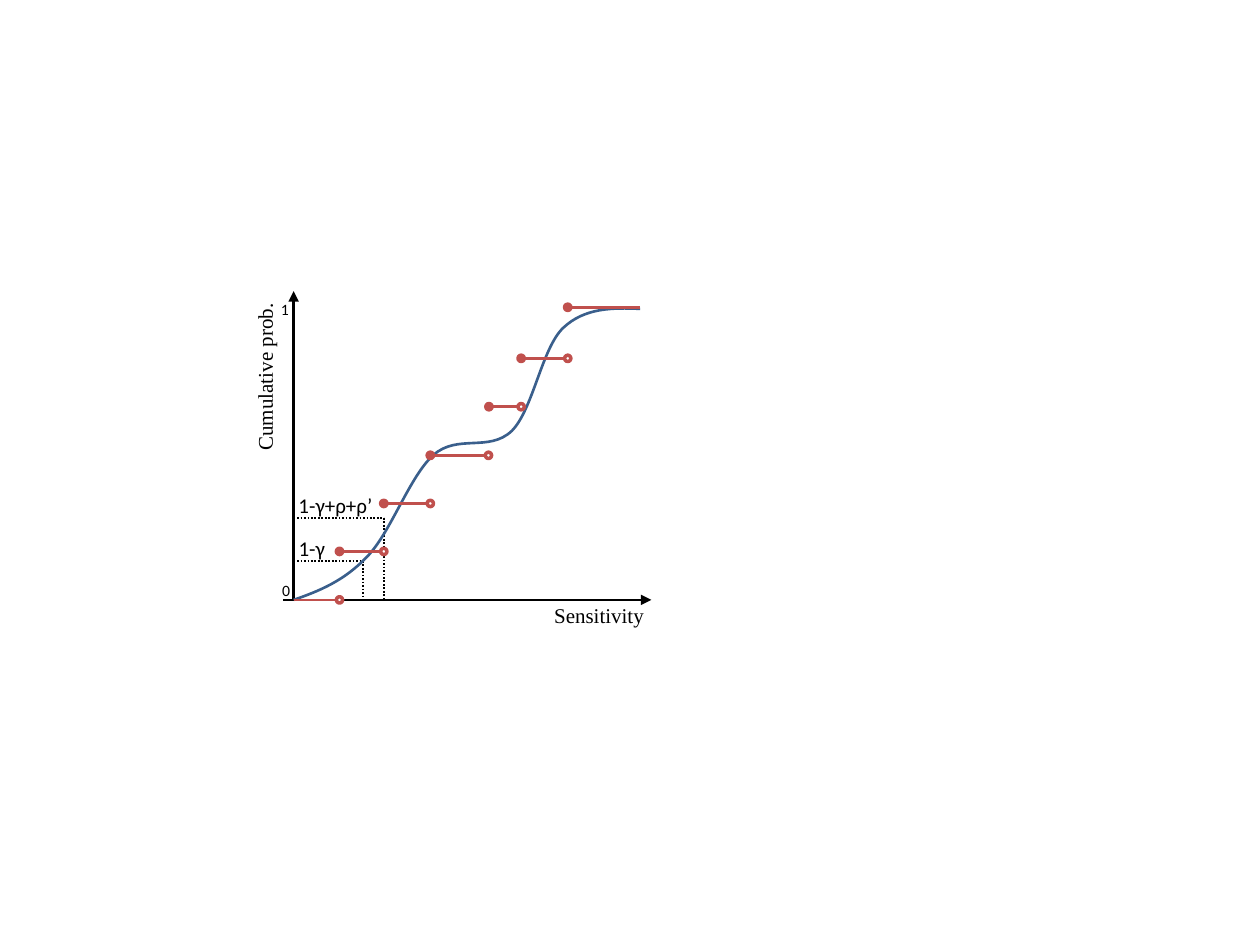
import pptx
import pptx.dml.color
import pptx.enum.dml
import pptx.enum.shapes
import pptx.enum.text
import pptx.oxml
import pptx.oxml.ns
import pptx.util

Pt = pptx.util.Pt
qn = pptx.oxml.ns.qn
ALIGN = pptx.enum.text.PP_ALIGN
COLORS = {"ink": "000000", "curve": "3A5F8C", "step": "C0504D", "paper": "FFFFFF"}
SERIF, SANS = "Times New Roman", "Calibri"

# Offsets from the axis origin: right and up, in points.
STEPS = [  # start, end, height
    (0, 26.2, 0), (26.2, 51.5, 27.7), (51.5, 78.1, 55.1), (78.1, 111.3, 82.6),
    (111.6, 130, 110.4), (130, 156.6, 138), (156.6, 198, 167.2),
]
CURVE = [  # start, then two controls and an end for each arc
    (0, 0), (14.4, 5), (28.8, 10.8), (41.8, 24.5),
    (55.4, 38.2), (66.2, 70.6), (79.9, 82.8),
    (93.6, 95), (111.6, 84.2), (124.6, 96.5),
    (136.8, 108.7), (141.8, 144), (154.1, 155.5),
    (166.3, 167), (182.2, 167), (198, 166.3),
]
GUIDES = [(39.8, 22.3), (51.6, 46.8)]  # right, up
LABELS = [  # text, left, top below origin, width, height, size, font, align, turn, wrap
    ("Sensitivity", 141.1, -2.2, 66.2, 21.6, 12, SERIF, ALIGN.RIGHT, 0, False),
    ("Cumulative prob.", -78.5, -125.3, 123.8, 21.6, 12, SERIF, ALIGN.RIGHT, 270, True),
    ("1-γ+ρ+ρ’", -4.3, -64.8, 57.6, 21.6, 12, SANS, ALIGN.LEFT, 0, True),
    ("1-γ", -4.3, -40.3, 29.5, 21.6, 12, SANS, ALIGN.LEFT, 0, True),
    ("0", -13.7, -14.4, 19.4, 18, 9, SANS, ALIGN.LEFT, 0, False),
    ("1", -14.4, -175, 19.4, 18, 9, SANS, ALIGN.LEFT, 0, False),
]


def rgb(name):
    return pptx.dml.color.RGBColor.from_string(COLORS[name])


def stroke(line, color, width):
    line.color.rgb = rgb(color)
    line.width = Pt(width)


def add_line(slide, x1, y1, x2, y2, color="ink", width=1.5, dots=False, arrow=False):
    link = slide.shapes.add_connector(
        pptx.enum.shapes.MSO_CONNECTOR.STRAIGHT, Pt(x1), Pt(y1), Pt(x2), Pt(y2))
    stroke(link.line, color, width)
    if dots:
        link.line.dash_style = pptx.enum.dml.MSO_LINE.ROUND_DOT
    props = link._element.spPr
    if arrow:
        tip = props.find(qn("a:ln")).makeelement(qn("a:tailEnd"), {"type": "triangle"})
        props.find(qn("a:ln")).append(tip)
    props.append(props.makeelement(qn("a:effectLst"), {}))


def add_dot(slide, x, y, fill, size=3.6):
    dot = slide.shapes.add_shape(
        pptx.enum.shapes.MSO_SHAPE.OVAL,
        Pt(x - size / 2), Pt(y - size / 2), Pt(size), Pt(size))
    dot.shadow.inherit = False
    dot.fill.solid()
    dot.fill.fore_color.rgb = rgb(fill)
    stroke(dot.line, "step", 2)


def add_curve(slide, points):
    """Draw a chain of cubic arcs."""
    pen = slide.shapes.build_freeform(
        int(Pt(points[0][0])), int(Pt(points[0][1])), scale=1.0)
    pen.add_line_segments([(int(Pt(x)), int(Pt(y))) for x, y in points[1:]], close=False)
    curve = pen.convert_to_shape()
    curve.shadow.inherit = False
    curve.fill.background()
    stroke(curve.line, "curve", 1.5)
    trace = curve._element.spPr.find(".//" + qn("a:path"))
    legs = trace.findall(qn("a:lnTo"))
    for i in range(0, len(legs), 3):
        arc = trace.makeelement(qn("a:cubicBezTo"), {})
        trace.append(arc)
        for leg in legs[i:i + 3]:
            arc.append(leg[0])
            trace.remove(leg)


def add_label(slide, text, x, y, w, h, size, face, align, turn, wrap):
    box = slide.shapes.add_textbox(Pt(x), Pt(y), Pt(w), Pt(h))
    box.rotation = turn
    frame = box.text_frame
    frame.word_wrap = wrap
    frame.text = text
    para = frame.paragraphs[0]
    para.alignment = align
    font = para.runs[0].font
    font.size, font.name = Pt(size), face
    font.color.rgb = rgb("ink")


def add_plot(slide, left, top, width, height):
    """Fill the box whose lower left corner is the axis origin."""
    base = top + height
    for right, up in GUIDES:
        add_line(slide, left, base - up, left + right, base - up, width=1, dots=True)
        add_line(slide, left + right, base - up, left + right, base, width=1, dots=True)
    add_line(slide, left, base, left, top, arrow=True)
    add_line(slide, left - 6, base, left + width, base, arrow=True)
    add_curve(slide, [(left + x, base - y) for x, y in CURVE])

    last = len(STEPS) - 1
    for i, (start, end, up) in enumerate(STEPS):
        add_line(slide, left + start, base - up, left + end, base - up,
                 "step", 2 if i == last else 1.5)
    for i, (start, end, up) in enumerate(STEPS):
        if i > 0:
            add_dot(slide, left + start, base - up, "step")
        if i < last:
            add_dot(slide, left + end, base - up, "paper")

    for text, x, y, *rest in LABELS:
        add_label(slide, text, left + x, base + y, *rest)


def main():
    deck = pptx.Presentation()
    deck.slide_width, deck.slide_height = Pt(720), Pt(540)
    slide = deck.slides.add_slide(deck.slide_layouts[6])
    add_plot(slide, 167.8, 166.4, 204.4, 176.4)
    deck.save("out.pptx")


if __name__ == "__main__":
    main()
